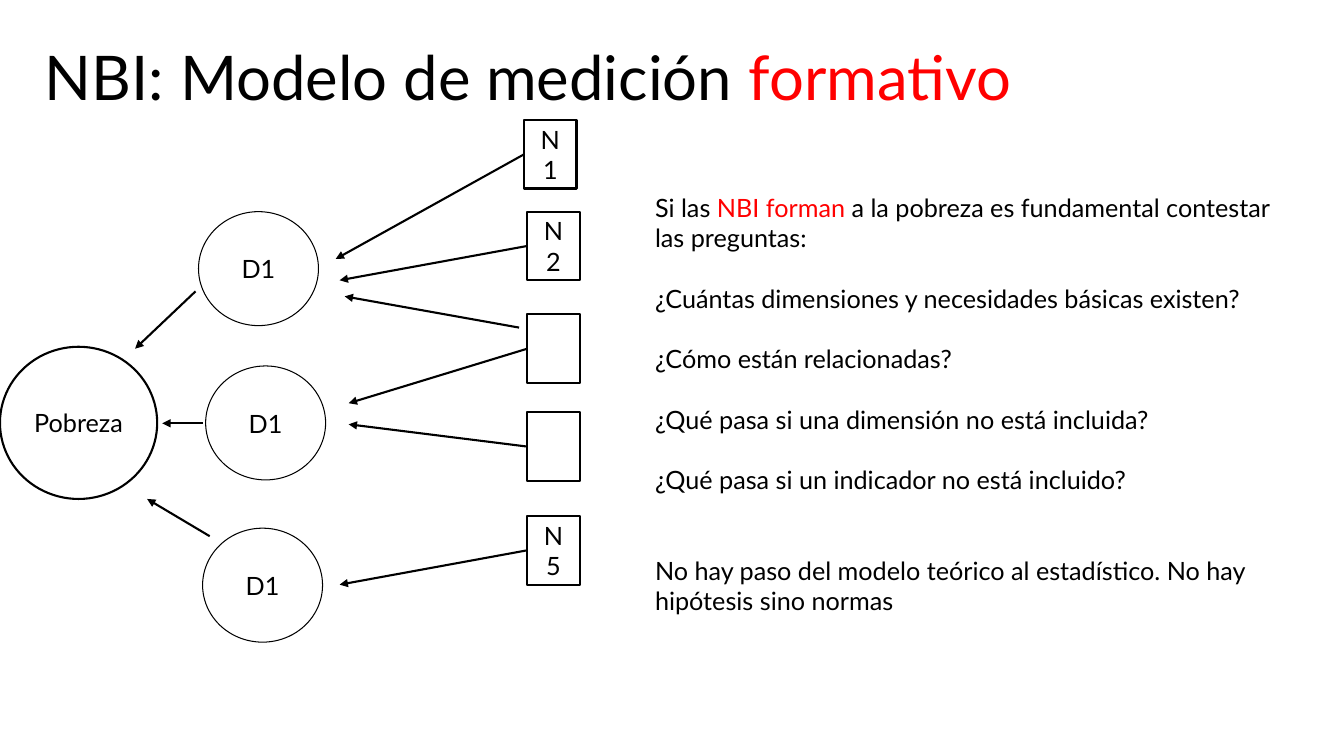
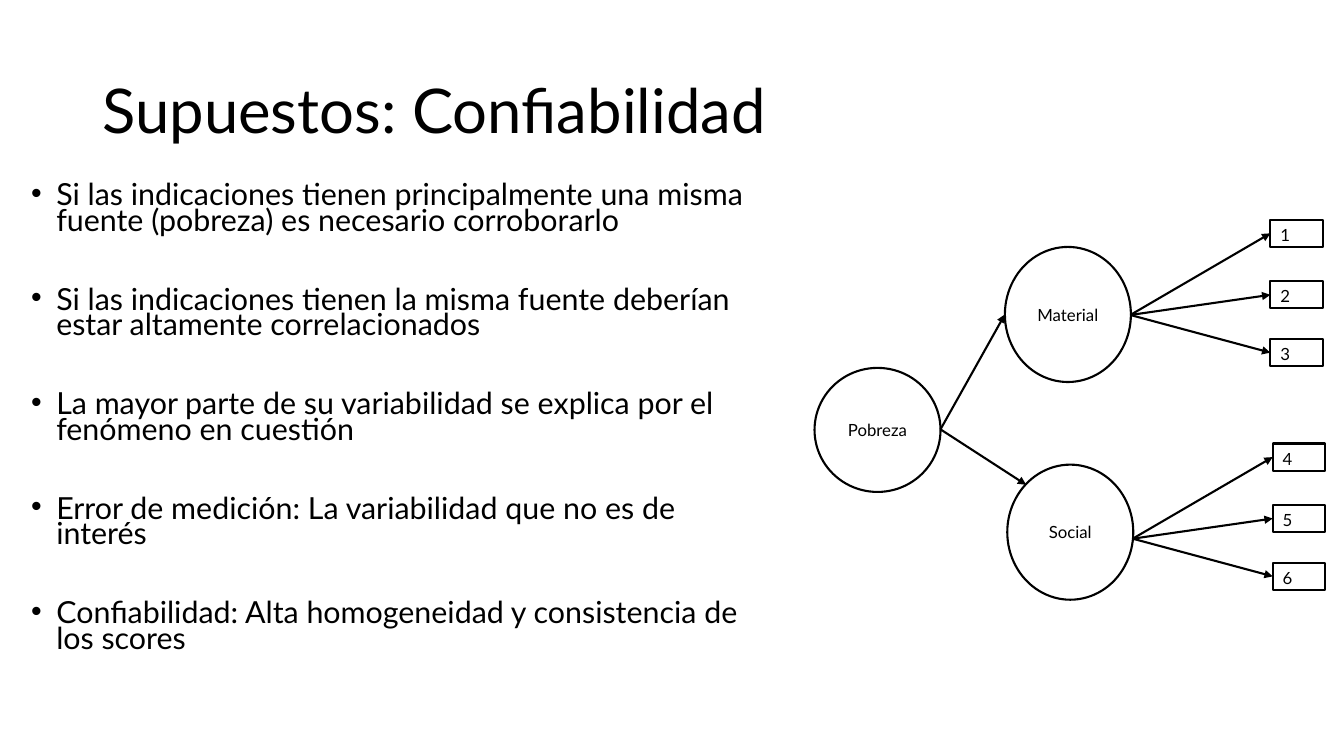
from dataclasses import dataclass

from pptx import Presentation
from pptx.dml.color import RGBColor
from pptx.enum.shapes import MSO_CONNECTOR, MSO_SHAPE
from pptx.enum.text import MSO_ANCHOR, PP_ALIGN
from pptx.oxml.ns import qn
from pptx.util import Pt
from lxml.etree import SubElement


@dataclass(frozen=True)
class Theme:
    font: str = "Lato"
    ink: RGBColor = RGBColor(0, 0, 0)
    paper: RGBColor = RGBColor(255, 255, 255)
    accent: RGBColor = RGBColor(255, 0, 0)
    title_size: float = 44
    bullet_size: float = 21.7
    text_size: float = 18
    label_size: float = 12
    line: float = 1.5
    thin_line: float = 0.75


theme = Theme()


def add_text(slide, paragraphs, box, geometry=None, size=theme.text_size, accent=None,
             align=PP_ALIGN.LEFT, anchor=MSO_ANCHOR.TOP, line_spacing=None, gaps=None,
             bullet=None, indent=0, filled=True, line=theme.line):
    bounds = [Pt(length) for length in box]
    if geometry is None:
        shape = slide.shapes.add_textbox(*bounds)
    else:
        shape = slide.shapes.add_shape(geometry, *bounds)
        shape.shadow.inherit = False
        shape.line.color.rgb = theme.ink
        shape.line.width = Pt(line)
        if filled:
            shape.fill.solid()
            shape.fill.fore_color.rgb = theme.paper
        else:
            shape.fill.background()
    frame = shape.text_frame
    frame.word_wrap = True
    frame.vertical_anchor = anchor
    for index, text in enumerate(paragraphs):
        paragraph = frame.add_paragraph() if index else frame.paragraphs[0]
        paragraph.alignment = align
        paragraph.line_spacing = line_spacing
        if gaps:
            paragraph.space_before = Pt(gaps[index])
        if bullet:
            properties = paragraph._p.get_or_add_pPr()
            properties.set("marL", str(Pt(indent)))
            properties.set("indent", str(-Pt(indent)))
            SubElement(properties, qn("a:buFont"), typeface="Arial")
            SubElement(properties, qn("a:buChar"), char=bullet)
        before, marked, after = text.partition(accent) if accent else (text, "", "")
        for part, color in ((before, theme.ink), (marked, theme.accent), (after, theme.ink)):
            if part:
                run = paragraph.add_run()
                run.text = part
                run.font.name = theme.font
                run.font.size = Pt(size)
                run.font.color.rgb = color


def add_arrow(slide, start, end):
    points = [Pt(length) for length in (*start, *end)]
    connector = slide.shapes.add_connector(MSO_CONNECTOR.STRAIGHT, *points)
    connector.line.color.rgb = theme.ink
    connector.line.width = Pt(theme.line)
    SubElement(connector.line._get_or_add_ln(), qn("a:tailEnd"), type="triangle")
    SubElement(connector._element.spPr, qn("a:effectLst"))


presentation = Presentation()
presentation.slide_width = Pt(960)
presentation.slide_height = Pt(540)
blank = presentation.slide_layouts[6]
title_style = dict(size=theme.title_size, anchor=MSO_ANCHOR.MIDDLE, line_spacing=0.9)
node_style = dict(align=PP_ALIGN.CENTER, anchor=MSO_ANCHOR.MIDDLE)

slide = presentation.slides.add_slide(blank)
add_text(slide, ["NBI: Modelo de medición formativo"], (25, 5, 828, 104.4),
         accent="formativo", **title_style)
questions = [
    "Si las NBI forman a la pobreza es fundamental contestar las preguntas:",
    "¿Cuántas dimensiones y necesidades básicas existen?",
    "¿Cómo están relacionadas?",
    "¿Qué pasa si una dimensión no está incluida?",
    "¿Qué pasa si un indicador no está incluido?",
    "No hay paso del modelo teórico al estadístico. No hay hipótesis sino normas",
]
blank_line = 21.6
add_text(slide, questions, (460.8, 134, 474.5, 312.5), accent="NBI forman",
         gaps=[0] + [blank_line] * 4 + [2 * blank_line])

add_text(slide, ["Pobreza"], (0, 247.7, 112.3, 108.7), MSO_SHAPE.OVAL, **node_style)
for left, top in ((141.8, 151.2), (146.9, 261.4), (144.7, 377.3)):
    add_text(slide, ["D1"], (left, top, 85.7, 81.4), MSO_SHAPE.OVAL,
             filled=False, line=theme.thin_line, **node_style)

need_width, need_height = 37.4, 49
needs = [
    ("N1", 374.4, 85.7, (239.8, 185)),
    ("N2", 376.6, 151.2, (242.6, 200.2)),
    ("", 376.6, 224.6, (249.1, 288)),
    ("", 376.6, 294.5, (249.1, 303.1)),
    ("N5", 376.6, 368.6, (242.6, 417.6)),
]
for label, left, top, target in needs:
    add_text(slide, [label], (left, top, need_width, need_height),
             MSO_SHAPE.RECTANGLE, **node_style)
    add_arrow(slide, (left, top + need_height / 2), target)

for start, end in (
    ((370.8, 234), (246.2, 211.7)),
    ((139.7, 208.1), (96.5, 249.1)),
    ((144.7, 302.4), (115.9, 302.4)),
    ((149.8, 383), (105.1, 356.4)),
):
    add_arrow(slide, start, end)

slide = presentation.slides.add_slide(blank)
add_text(slide, ["Supuestos: Confiabilidad"], (66.2, 28.8, 828, 104.4), **title_style)
assumptions = [
    "Si las indicaciones tienen principalmente una misma fuente (pobreza) es necesario corroborarlo",
    "Si las indicaciones tienen la misma fuente deberían estar altamente correlacionados",
    "La mayor parte de su variabilidad se explica por el fenómeno en cuestión",
    "Error de medición: La variabilidad que no es de interés",
    "Confiabilidad: Alta homogeneidad y consistencia de los scores",
]
add_text(slide, assumptions, (15.1, 128.9, 533.5, 356.4), size=theme.bullet_size,
         line_spacing=0.7, gaps=[0] + [38.2] * 4, bullet="•", indent=18)

add_text(slide, ["Pobreza"], (581.8, 262.8, 90, 88.6), MSO_SHAPE.OVAL,
         size=theme.label_size, **node_style)
item_width, item_height = 37.4, 19.4
item_offsets = (0, 43.9, 85.2)
dimensions = [
    ("Material", 717.8, 176.4, 157, (717.8, 224.6), "123"),
    ("Social", 719.5, 331.9, 316.8, (733, 346.3), "456"),
]
for name, left, top, first_item, target, items in dimensions:
    add_text(slide, [name], (left, top, 90, 96.5), MSO_SHAPE.OVAL,
             size=theme.label_size, **node_style)
    add_arrow(slide, (671.8, 306.7), target)
    item_left = left + 189.6
    for item, offset in zip(items, item_offsets):
        item_top = first_item + offset
        add_text(slide, [item], (item_left, item_top, item_width, item_height),
                 MSO_SHAPE.RECTANGLE, size=theme.label_size)
        add_arrow(slide, (left + 89.6, first_item + 68),
                  (item_left, item_top + item_height / 2))

presentation.save("out.pptx")
